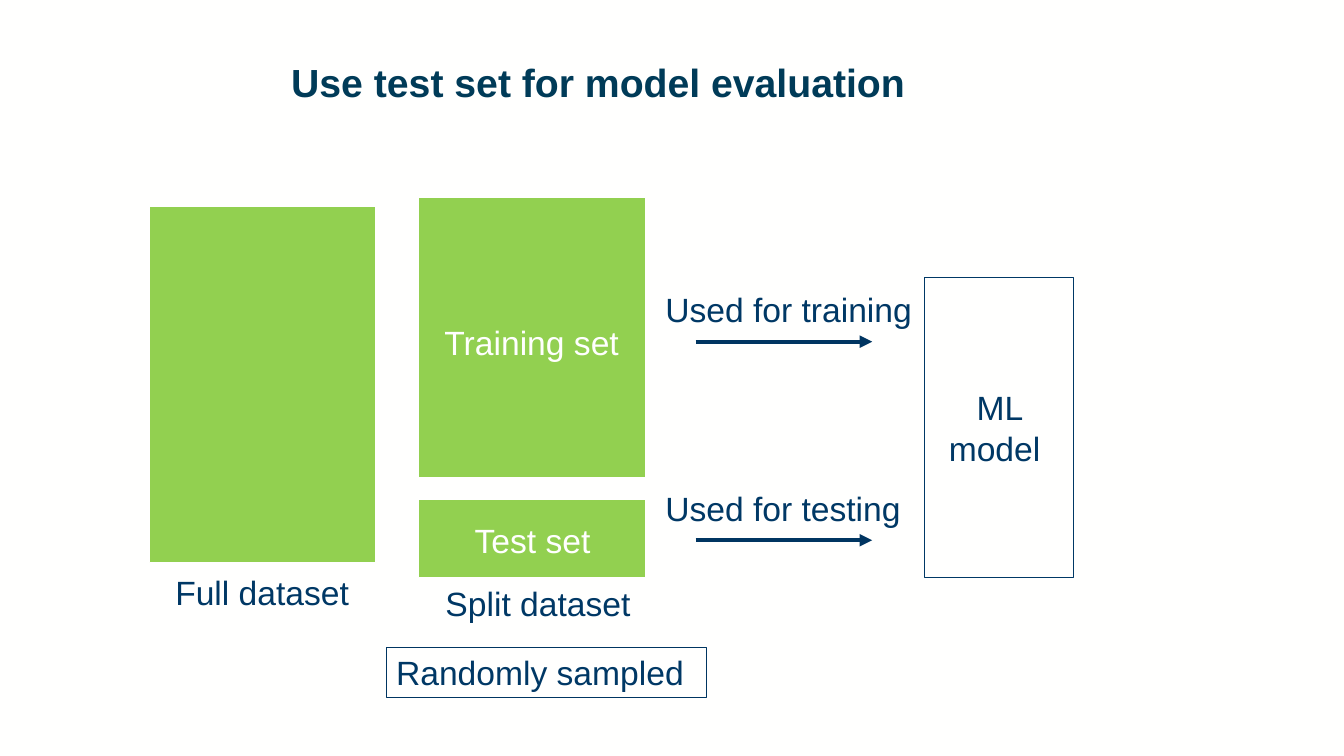
import pptx
import pptx.util
import pptx.dml.color
import pptx.enum.shapes
import pptx.enum.text
import pptx.oxml.ns
from lxml import etree

RGBColor = pptx.dml.color.RGBColor
Inches = pptx.util.Inches
Pt = pptx.util.Pt

WHITE = RGBColor(0xFF, 0xFF, 0xFE)
GREEN = RGBColor(0x92, 0xD0, 0x50)
NAVY = RGBColor(0x00, 0x38, 0x65)
EDGE = RGBColor(0x00, 0x35, 0x61)
TITLE = RGBColor(0x00, 0x3B, 0x58)

deck = pptx.Presentation()
deck.slide_width = Inches(13.33)
deck.slide_height = Inches(7.5)
slide = deck.slides.add_slide(deck.slide_layouts[6])
slide.background.fill.solid()
slide.background.fill.fore_color.rgb = WHITE


def add_text(text, x, y, w, h=0.5, color=NAVY, size=24):
    box = slide.shapes.add_textbox(Inches(x), Inches(y), Inches(w), Inches(h))
    box.text_frame.word_wrap = True
    line = box.text_frame.paragraphs[0]
    line.text = text
    line.font.name = "Arial"
    line.font.size = Pt(size)
    line.font.color.rgb = color
    return box


def add_rect(x, y, w, h, fill, edge=WHITE):
    rect = slide.shapes.add_shape(
        pptx.enum.shapes.MSO_SHAPE.RECTANGLE,
        Inches(x), Inches(y), Inches(w), Inches(h))
    rect.shadow.inherit = False
    rect.fill.solid()
    rect.fill.fore_color.rgb = fill
    rect.line.color.rgb = edge
    rect.line.width = Pt(1)
    return rect


title = add_text("Use test set for model evaluation",
                 2.79, 0.58, 10.07, 0.97, TITLE, 28).text_frame.paragraphs[0]
title.font.bold = True
title.line_spacing = 0.9

# Model and the two arrows towards it
model = add_rect(9.17, 2.75, 1.48, 2.98, WHITE, NAVY)
model.text_frame.vertical_anchor = pptx.enum.text.MSO_ANCHOR.MIDDLE
name = model.text_frame.paragraphs[0]
name.text = "ML model "
name.alignment = pptx.enum.text.PP_ALIGN.CENTER
name.font.name = "Arial"
name.font.size = Pt(24)
name.font.color.rgb = NAVY

for use, y, w in [("Used for training", 3.39, 2.67),
                  ("Used for testing", 5.36, 2.56)]:
    arrow = slide.shapes.add_connector(
        pptx.enum.shapes.MSO_CONNECTOR.STRAIGHT,
        Inches(6.9), Inches(y), Inches(8.65), Inches(y))
    arrow.line.color.rgb = EDGE
    arrow.line.width = Pt(3)
    etree.SubElement(arrow.line._get_or_add_ln(),
                     pptx.oxml.ns.qn("a:tailEnd"), type="triangle")
    etree.SubElement(arrow._element.spPr, pptx.oxml.ns.qn("a:effectLst"))
    add_text(use, 6.5, y - 0.57, w)

# Full dataset beside its split, cut by a white band
for x, y, h, fill in [(1.48, 2.05, 3.53, GREEN),
                      (4.15, 1.96, 3.77, GREEN),
                      (4.15, 4.74, 0.21, WHITE)]:
    add_rect(x, y, 2.25, h, fill)

for text, x, y, w, color in [("Full dataset", 1.64, 5.62, 1.94, NAVY),
                             ("Split dataset", 4.32, 5.73, 2.05, NAVY),
                             ("Training set", 4.31, 3.14, 1.95, WHITE),
                             ("Test set", 4.61, 5.11, 1.36, WHITE)]:
    add_text(text, x, y, w, color=color)

note = add_text("Randomly sampled", 3.83, 6.42, 3.18)
note.line.color.rgb = EDGE
note.line.width = Pt(0.75)

deck.save("out.pptx")
